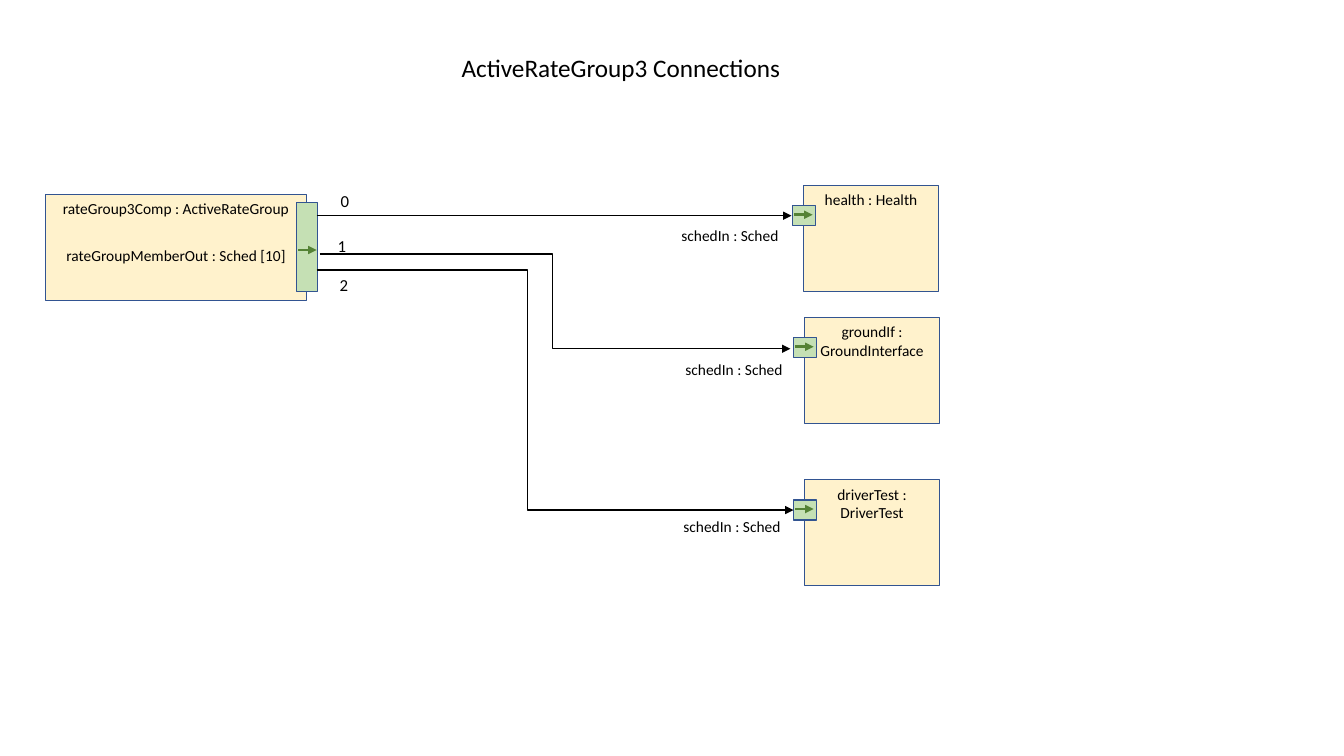
from dataclasses import dataclass

from lxml import etree
from pptx import Presentation
from pptx.dml.color import RGBColor
from pptx.enum.shapes import MSO_CONNECTOR, MSO_SHAPE
from pptx.enum.text import MSO_ANCHOR, MSO_AUTO_SIZE, PP_ALIGN
from pptx.oxml.ns import qn
from pptx.util import Inches, Pt

RECTANGLE = MSO_SHAPE.RECTANGLE
STRAIGHT, ELBOW = MSO_CONNECTOR.STRAIGHT, MSO_CONNECTOR.ELBOW
TOP, CENTER, LEFT = MSO_ANCHOR.TOP, PP_ALIGN.CENTER, PP_ALIGN.LEFT
FIT_SHAPE = MSO_AUTO_SIZE.SHAPE_TO_FIT_TEXT


@dataclass(frozen=True)
class Theme:
    font: str = "Calibri"
    ink: RGBColor = RGBColor(0x00, 0x00, 0x00)
    component: RGBColor = RGBColor(0xFF, 0xF2, 0xCC)
    port: RGBColor = RGBColor(0xC5, 0xE0, 0xB4)
    outline: RGBColor = RGBColor(0x32, 0x54, 0x91)
    port_arrow: RGBColor = RGBColor(0x54, 0x82, 0x35)
    title_size: int = 18
    index_size: int = 12
    label_size: int = 11
    line_width: int = 1
    hairline: int = 0


THEME = Theme()

# Target components: name, left, top, and offset of the port label
TARGETS = [
    ("health : Health", 7.97, 1.84, (-1.31, 0.35)),
    ("groundIf : GroundInterface", 7.98, 3.15, (-1.28, 0.37)),
    ("driverTest : DriverTest", 7.98, 4.76, (-1.30, 0.32)),
]

# Connections: start, end, bend position as a share of the width
CONNECTIONS = [
    ((3.14, 2.14), (7.85, 2.14), None),
    ((3.17, 2.52), (7.84, 3.46), 0.495),
    ((3.14, 2.68), (7.87, 5.06), 0.442),
]
INDEX_SPOTS = [(3.28, 1.84), (3.25, 2.29), (3.27, 2.68)]


def write(shape, text, size, align):
    shape.text_frame.text = text
    para = shape.text_frame.paragraphs[0]
    para.alignment = align
    font = para.runs[0].font
    font.name, font.size = THEME.font, Pt(size)
    font.color.rgb = THEME.ink


def add_label(page, text, box, size, wrap=False):
    label = page.shapes.add_textbox(*map(Inches, box))
    write(label, text, size, LEFT)
    label.text_frame.word_wrap = wrap
    label.text_frame.auto_size = FIT_SHAPE


def add_rectangle(page, box, fill):
    shape = page.shapes.add_shape(RECTANGLE, *map(Inches, box))
    shape.shadow.inherit = False
    shape.fill.solid()
    shape.fill.fore_color.rgb = fill
    shape.line.color.rgb = THEME.outline
    shape.line.width = Pt(THEME.line_width)
    return shape


def add_arrow(page, start, end, color, width, bend=None):
    kind = STRAIGHT if bend is None else ELBOW
    arrow = page.shapes.add_connector(kind, *map(Inches, start + end))
    arrow.line.color.rgb = color
    arrow.line.width = Pt(width)
    properties = arrow.element.spPr
    line = properties.find(qn("a:ln"))
    etree.SubElement(line, qn("a:tailEnd"), type="triangle")
    etree.SubElement(properties, qn("a:effectLst"))
    if bend is not None:
        guides = properties.find(qn("a:prstGeom")).find(qn("a:avLst"))
        etree.SubElement(guides, qn("a:gd"), name="adj1",
                         fmla=f"val {round(bend * 100000)}")


def add_component(page, name, box):
    component = add_rectangle(page, box, THEME.component)
    write(component, name, THEME.label_size, CENTER)
    component.text_frame.word_wrap = True
    component.text_frame.vertical_anchor = TOP


def add_port(page, box, arrow_drop):
    left, top, _, _ = box
    add_rectangle(page, box, THEME.port)
    arrow_y = top + arrow_drop
    add_arrow(page, (left + 0.02, arrow_y), (left + 0.2, arrow_y),
              THEME.port_arrow, THEME.hairline)


def add_rate_group(page, box):
    left, top, width, _ = box
    add_component(page, "rateGroup3Comp : ActiveRateGroup", box)
    add_port(page, (left + width - 0.1, top + 0.08, 0.21, 0.88), 0.47)
    add_label(page, "rateGroupMemberOut : Sched [10]",
              (left + 0.11, top + 0.46, 2.4, 0.29), THEME.label_size)


def add_target(page, name, box, label_offset):
    left, top, _, _ = box
    across, down = label_offset
    add_component(page, name, box)
    add_port(page, (left - 0.11, top + 0.2, 0.23, 0.2), 0.09)
    add_label(page, "schedIn : Sched",
              (left + across, top + down, 1.17, 0.29), THEME.label_size)


def add_connections(page):
    for index, (start, end, bend) in enumerate(CONNECTIONS):
        add_arrow(page, start, end, THEME.ink, THEME.line_width, bend)
        add_label(page, str(index), INDEX_SPOTS[index] + (0.22, 0.3),
                  THEME.index_size, wrap=True)


def main():
    deck = Presentation()
    deck.slide_width, deck.slide_height = Inches(13.33), Inches(7.5)
    page = deck.slides.add_slide(deck.slide_layouts[6])

    # Title
    add_label(page, "ActiveRateGroup3 Connections",
              (4.48, 0.47, 3.4, 0.4), THEME.title_size)

    # Source component, its targets and the wires between them
    add_rate_group(page, (0.45, 1.93, 2.59, 1.05))
    for name, left, top, label_offset in TARGETS:
        add_target(page, name, (left, top, 1.34, 1.05), label_offset)
    add_connections(page)

    deck.save("out.pptx")


if __name__ == "__main__":
    main()
